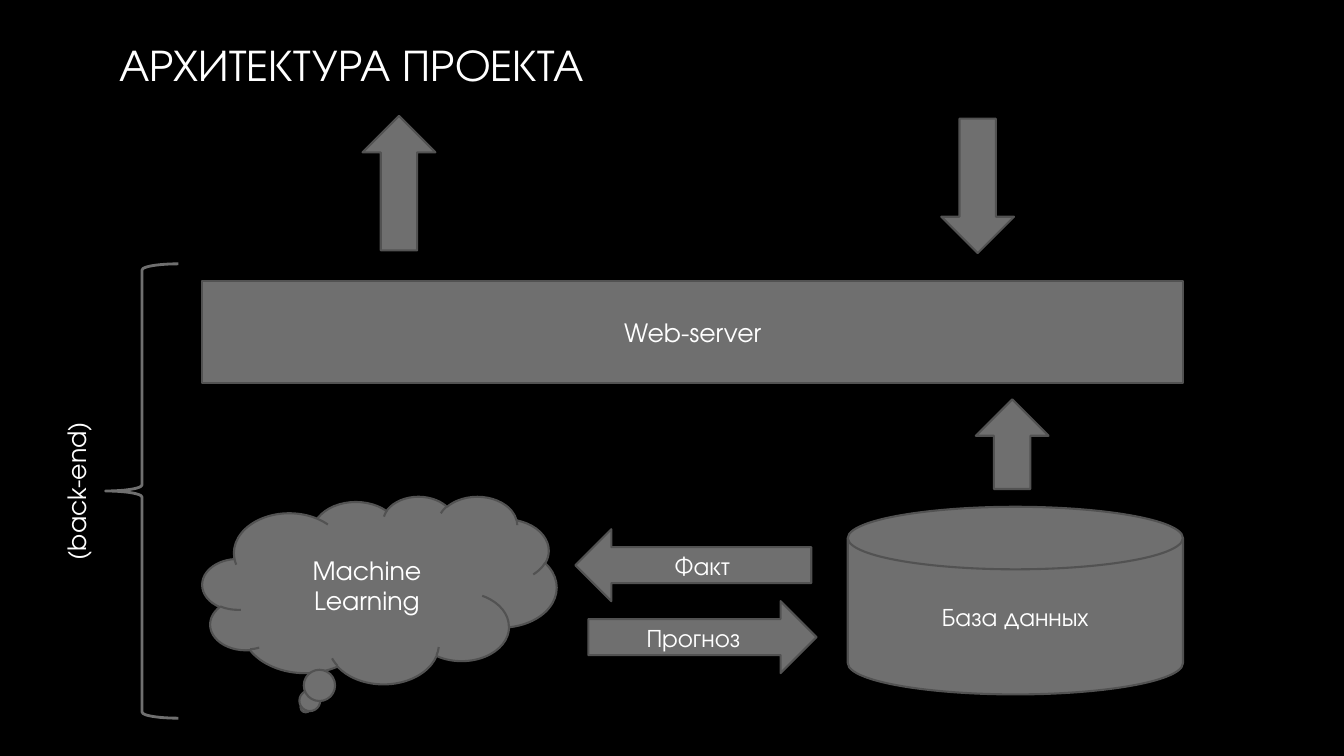
from dataclasses import dataclass

from pptx import Presentation
from pptx.dml.color import RGBColor
from pptx.enum.shapes import MSO_SHAPE
from pptx.enum.text import MSO_ANCHOR, MSO_AUTO_SIZE, PP_ALIGN
from pptx.util import Pt


@dataclass(frozen=True)
class Theme:
    font: str = "TeX Gyre Adventor"
    background: RGBColor = RGBColor(0x00, 0x00, 0x00)
    text: RGBColor = RGBColor(0xFF, 0xFF, 0xFF)
    fill: RGBColor = RGBColor(0x6F, 0x6F, 0x6F)
    outline: RGBColor = RGBColor(0x52, 0x52, 0x52)
    title_size: int = 32
    body_size: int = 18
    outline_width: float = 1.5
    brace_width: float = 2


THEME = Theme()

TITLE = "АРХИТЕКТУРА ПРОЕКТА"
SERVER = "Web-server"
LEARNING = "Machine\nLearning"
DATABASE = "База данных"
FACT = "Факт"
FORECAST = "Прогноз"
BACK_END = "(back-end)"

# Extents in points
SLIDE_SIZE = (960, 540)
TITLE_BOX = (78, -29.5, 780, 150)
LEFT, RIGHT = 144.6, 845
SERVER_TOP, SERVER_HEIGHT = 200.7, 73
STORE_HEIGHT = 134
DATABASE_TOP, DATABASE_WIDTH = 362, 239.4
LEARNING_TOP, LEARNING_WIDTH = 354.4, 253
ARROW_WIDTH, ARROW_HEIGHT = 52, 96
EXCHANGE_TOP, EXCHANGE_HEIGHT = 378, 51.4
BRACE_BOX = (75.5, 188.5, 52, 324.5)
LABEL_CENTER_X, LABEL_SIZE = 54.5, (115.2, 29)

database_left = RIGHT - DATABASE_WIDTH
brace_middle = BRACE_BOX[1] + BRACE_BOX[3] / 2
label_width, label_height = LABEL_SIZE
label_box = (LABEL_CENTER_X - label_width / 2, brace_middle - label_height / 2, *LABEL_SIZE)

# Preset, box, text, rotation
BLOCKS = [
    (MSO_SHAPE.FLOWCHART_MAGNETIC_DISK,
     (database_left, DATABASE_TOP, DATABASE_WIDTH, STORE_HEIGHT), DATABASE, 0),
    (MSO_SHAPE.CLOUD_CALLOUT,
     (LEFT, LEARNING_TOP, LEARNING_WIDTH, STORE_HEIGHT), LEARNING, 0),
    (MSO_SHAPE.RECTANGLE, (LEFT, SERVER_TOP, RIGHT - LEFT, SERVER_HEIGHT), SERVER, 0),
    (MSO_SHAPE.UP_ARROW, (259, 82.8, ARROW_WIDTH, ARROW_HEIGHT), "", 0),
    (MSO_SHAPE.UP_ARROW, (672.3, 84.8, ARROW_WIDTH, ARROW_HEIGHT), "", 180),
    (MSO_SHAPE.UP_ARROW, (697, 285.3, ARROW_WIDTH, 64), "", 0),
    (MSO_SHAPE.LEFT_ARROW, (411, EXCHANGE_TOP, 168.5, EXCHANGE_HEIGHT), FACT, 0),
    (MSO_SHAPE.RIGHT_ARROW,
     (420.3, EXCHANGE_TOP + EXCHANGE_HEIGHT, 163, EXCHANGE_HEIGHT), FORECAST, 0),
]


def write(frame, text, size=THEME.body_size, align=PP_ALIGN.CENTER,
          anchor=MSO_ANCHOR.MIDDLE, wrap=True):
    frame.text = text
    frame.word_wrap = wrap
    frame.vertical_anchor = anchor
    for paragraph in frame.paragraphs:
        paragraph.alignment = align
        for run in paragraph.runs:
            run.font.name = THEME.font
            run.font.size = Pt(size)
            run.font.color.rgb = THEME.text


def in_points(box):
    return [Pt(length) for length in box]


def add_preset(slide, preset, box, line_color, line_width):
    shape = slide.shapes.add_shape(preset, *in_points(box))
    shape.shadow.inherit = False
    shape.line.color.rgb = line_color
    shape.line.width = Pt(line_width)
    return shape


def add_block(slide, preset, box, text, rotation):
    block = add_preset(slide, preset, box, THEME.outline, THEME.outline_width)
    block.fill.solid()
    block.fill.fore_color.rgb = THEME.fill
    block.rotation = rotation
    if text:
        write(block.text_frame, text)


def add_title(slide):
    title = slide.shapes.title
    title.left, title.top, title.width, title.height = in_points(TITLE_BOX)
    write(title.text_frame, TITLE, size=THEME.title_size, align=PP_ALIGN.LEFT)


def add_back_end(slide):
    brace = add_preset(slide, MSO_SHAPE.LEFT_BRACE, BRACE_BOX, THEME.fill, THEME.brace_width)
    brace.fill.background()
    label = slide.shapes.add_textbox(*in_points(label_box))
    label.rotation = 270
    write(label.text_frame, BACK_END, anchor=MSO_ANCHOR.TOP, wrap=False)
    label.text_frame.auto_size = MSO_AUTO_SIZE.SHAPE_TO_FIT_TEXT


def main():
    deck = Presentation()
    deck.slide_width, deck.slide_height = in_points(SLIDE_SIZE)
    slide = deck.slides.add_slide(deck.slide_layouts.get_by_name("Title Only"))
    slide.background.fill.solid()
    slide.background.fill.fore_color.rgb = THEME.background
    add_title(slide)
    add_back_end(slide)
    for block in BLOCKS:
        add_block(slide, *block)
    deck.save("out.pptx")


if __name__ == "__main__":
    main()
